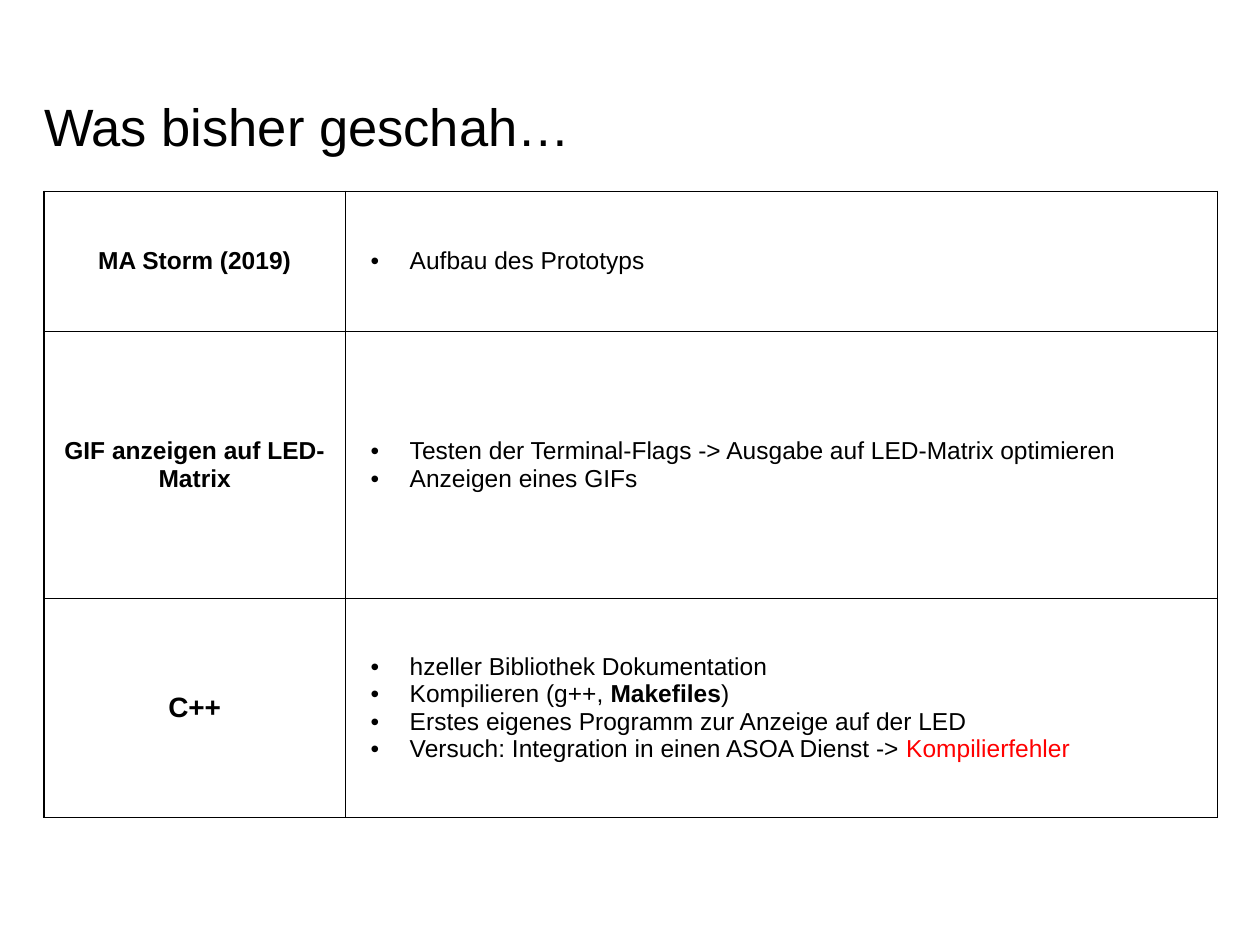
from lxml import etree
from pptx import Presentation
from pptx.dml.color import RGBColor
from pptx.enum.text import MSO_ANCHOR, PP_ALIGN
from pptx.oxml import parse_xml
from pptx.oxml.ns import nsdecls, qn
from pptx.util import Cm, Pt

MIDDLE = MSO_ANCHOR.MIDDLE
CENTER = PP_ALIGN.CENTER
BLACK, RED = "000000", "FF0000"
BODY = {"name": "Arial", "size": Pt(14), "bold": False}
HEADING = {**BODY, "bold": True}
LARGE_HEADING = {**HEADING, "size": Pt(16)}
TITLE = {**BODY, "size": Pt(30)}
NO_MARGINS = {f"margin_{side}": 0 for side in ("left", "top", "right", "bottom")}
COLUMN_WIDTHS = (6.07, 17.58)
TITLE_BOX = (0.89, 2.03, 23.65, 1.14)
TABLE_BOX = (0.89, 3.86, 23.65, 12.62)
ROWS = (
    (2.82, "MA Storm (2019)", HEADING, [
        [("Aufbau des Prototyps", BODY, BLACK)],
    ]),
    (5.38, "GIF anzeigen auf LED-Matrix", HEADING, [
        [("Testen der Terminal-Flags -> Ausgabe auf LED-Matrix optimieren", BODY, BLACK)],
        [("Anzeigen eines GIFs", BODY, BLACK)],
    ]),
    (4.42, "C++", LARGE_HEADING, [
        [("hzeller Bibliothek Dokumentation", BODY, BLACK)],
        [("Kompilieren (g++, ", BODY, BLACK), ("Makefiles", HEADING, BLACK), (")", BODY, BLACK)],
        [("Erstes eigenes Programm zur Anzeige auf der LED", BODY, BLACK)],
        [("Versuch: Integration in einen ASOA Dienst -> ", BODY, BLACK),
         ("Kompilierfehler", BODY, RED)],
    ]),
)


def color(value):
    """Return the colour of a hex string."""
    return RGBColor.from_string(value)


def apply(target, values):
    """Set every attribute named in the values on the target."""
    for name, value in values.items():
        setattr(target, name, value)


def add_span(para, text, font, hue=BLACK):
    """Append one formatted run to a paragraph."""
    span = para.add_run()
    span.text = text
    apply(span.font, font)
    span.font.color.rgb = color(hue)


def add_bullet(para):
    """Give a paragraph a hanging bullet."""
    para.level = 1
    properties = para._p.get_or_add_pPr()
    properties.set("marL", str(Cm(1.3)))
    properties.set("indent", str(-Cm(0.79)))
    etree.SubElement(properties, qn("a:buFont")).set("typeface", "Arial")
    etree.SubElement(properties, qn("a:buChar")).set("char", "•")


def format_cell(cell):
    """Clear the fill and margins of a cell and draw its four borders."""
    apply(cell, {**NO_MARGINS, "vertical_anchor": MIDDLE})
    cell.fill.background()
    properties = cell._tc.get_or_add_tcPr()
    for position, side in enumerate("LRTB"):
        properties.insert(position, parse_xml(
            f'<a:ln{side} {nsdecls("a")} w="{Pt(1)}"><a:solidFill>'
            f'<a:srgbClr val="{BLACK}"/></a:solidFill></a:ln{side}>'))


def add_title(page, box, text):
    """Write the slide title into the given box."""
    frame = page.shapes.add_textbox(*map(Cm, box)).text_frame
    apply(frame, {**NO_MARGINS, "word_wrap": True})
    para = frame.paragraphs[0]
    para.line_spacing = Pt(32)
    add_span(para, text, TITLE)


def add_progress_table(page, box, rows):
    """Build the table of work stages and their results in the given box."""
    table = page.shapes.add_table(len(rows), len(COLUMN_WIDTHS), *map(Cm, box)).table
    apply(table, {"first_row": False, "horz_banding": False})
    for column, width in zip(table.columns, COLUMN_WIDTHS):
        column.width = Cm(width)
    for row, (height, stage, font, results) in zip(table.rows, rows):
        row.height = Cm(height)
        stage_cell, result_cell = row.cells
        format_cell(stage_cell)
        format_cell(result_cell)
        para = stage_cell.text_frame.paragraphs[0]
        para.alignment = CENTER
        add_span(para, stage, font)
        frame = result_cell.text_frame
        for index, spans in enumerate(results):
            para = frame.add_paragraph() if index else frame.paragraphs[0]
            add_bullet(para)
            for span in spans:
                add_span(para, *span)


def main():
    """Build and save the deck."""
    deck = Presentation()
    apply(deck, {"slide_width": Cm(25.4), "slide_height": Cm(19.05)})
    page = deck.slides.add_slide(deck.slide_layouts[6])
    add_title(page, TITLE_BOX, "Was bisher geschah…")
    add_progress_table(page, TABLE_BOX, ROWS)
    deck.save("out.pptx")


if __name__ == "__main__":
    main()
